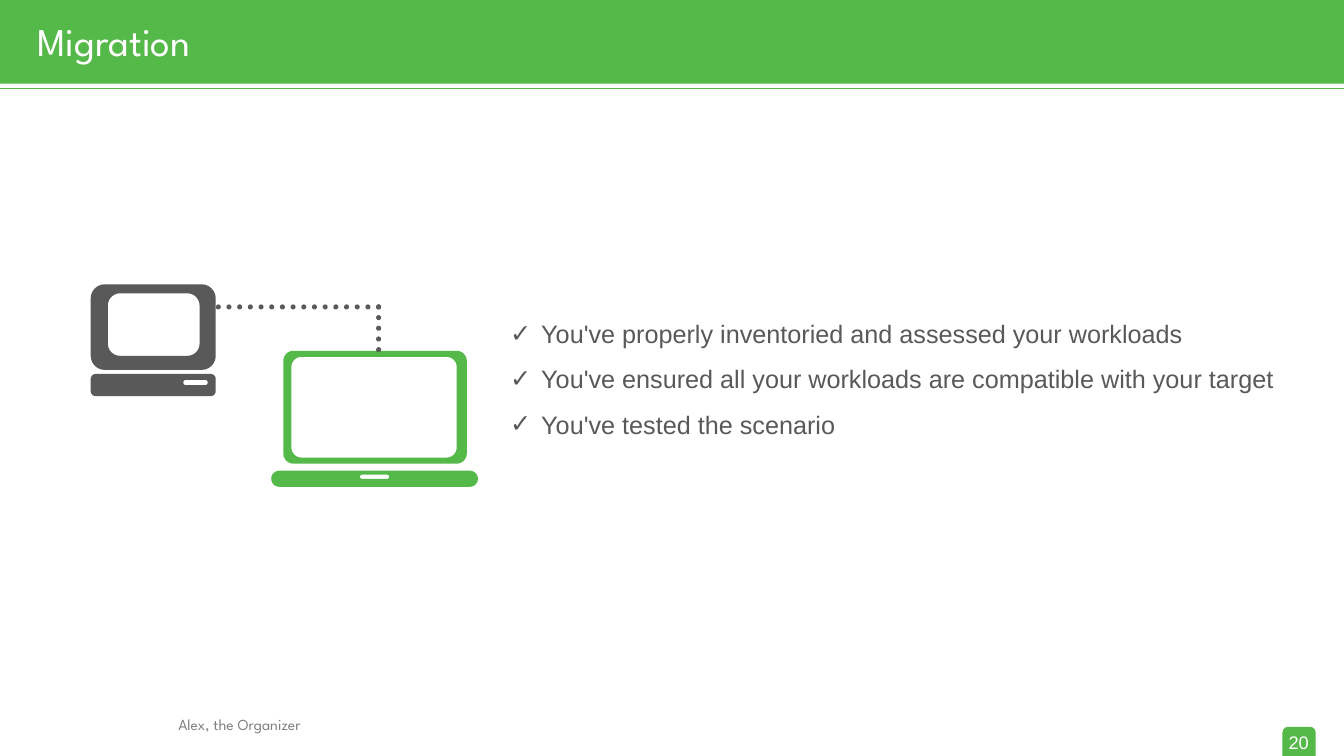
from math import cos, pi, sin

from lxml import etree
from pptx import Presentation
from pptx.dml.color import RGBColor
from pptx.enum.shapes import MSO_CONNECTOR, MSO_SHAPE
from pptx.enum.text import MSO_ANCHOR, PP_ALIGN
from pptx.oxml.ns import qn
from pptx.util import Inches, Pt

RECT, TAB, DOT = MSO_SHAPE.RECTANGLE, MSO_SHAPE.ROUND_2_SAME_RECTANGLE, MSO_SHAPE.OVAL
STRAIGHT = MSO_CONNECTOR.STRAIGHT
LEFT, CENTER = PP_ALIGN.LEFT, PP_ALIGN.CENTER
TOP, MIDDLE = MSO_ANCHOR.TOP, MSO_ANCHOR.MIDDLE

GREEN, GRAY, FOOTER_GRAY, WHITE = "54B948", "595959", "808080", "FFFFFF"
HEAD_FONT, BODY_FONT = "League Spartan", "Arial"
WIDTH, HEIGHT = 13.33, 7.5

CHECKS = [
    "You've properly inventoried and assessed your workloads",
    "You've ensured all your workloads are compatible with your target",
    "You've tested the scenario",
]


def color(hex_text):
    return RGBColor.from_string(hex_text)


def paint(sp, fill):
    sp.fill.solid()
    sp.fill.fore_color.rgb = color(fill)
    sp.line.fill.background()
    sp.shadow.inherit = False
    return sp


def add_filled(shapes, kind, x, y, w, h, fill):
    sp = shapes.add_shape(kind, Inches(x), Inches(y), Inches(w), Inches(h))
    return paint(sp, fill)


def write(sp, lines, size, font, fill, align=LEFT, anchor=TOP, spacing=1.0):
    tf = sp.text_frame
    tf.word_wrap = True
    tf.vertical_anchor = anchor
    for i, line in enumerate(lines):
        p = tf.paragraphs[0] if i == 0 else tf.add_paragraph()
        p.alignment = align
        p.line_spacing = spacing
        r = p.add_run()
        r.text = line
        for name, value in {"size": Pt(size), "name": font, "bold": False}.items():
            setattr(r.font, name, value)
        r.font.color.rgb = color(fill)
    return tf


def add_text(s, x, y, w, h, lines, *style, **layout):
    sp = s.shapes.add_textbox(Inches(x), Inches(y), Inches(w), Inches(h))
    return write(sp, lines, *style, **layout)


def rounded_outline(x, y, w, h, radius, steps=6):
    """Points of a rounded rectangle, clockwise from the top left corner."""
    centers = [
        (x + radius, y + radius), (x + w - radius, y + radius),
        (x + w - radius, y + h - radius), (x + radius, y + h - radius),
    ]
    points = []
    for corner, (cx, cy) in enumerate(centers):
        for step in range(steps + 1):
            angle = pi + (corner + step / steps) * pi / 2
            points.append((Inches(cx + radius * cos(angle)), Inches(cy + radius * sin(angle))))
    return points


def add_frame(shapes, outer, hole, fill):
    """Rounded block with a rounded opening cut through it."""
    block, opening = rounded_outline(*outer), rounded_outline(*hole)
    builder = shapes.build_freeform(*block[0])
    builder.add_line_segments(block[1:], close=True)
    builder.move_to(*opening[0])
    builder.add_line_segments(opening[1:], close=True)
    paint(builder.convert_to_shape(), fill)


def add_header(s, x, y, w, h, text):
    title = s.shapes.title
    banner = add_filled(s.shapes, RECT, x, y, w, h, GREEN)
    title.element.addprevious(banner.element)
    # Rule under the banner
    rule_y = Inches(y + h + 0.05)
    rule = s.shapes.add_connector(STRAIGHT, Inches(x), rule_y, Inches(x + w), rule_y)
    rule.line.color.rgb = color(GREEN)
    rule.line.width = Pt(0.5)
    etree.SubElement(rule.element.spPr, qn("a:effectLst"))
    # Title
    place = {"left": x + 0.27, "top": y + 0.16, "width": 11.5, "height": 0.54}
    for name, value in place.items():
        setattr(title, name, Inches(value))
    write(title, [text], 28, HEAD_FONT, WHITE, anchor=MIDDLE, spacing=0.9)


def add_footer(s, x, y, name, number):
    add_text(s, x, y, 1.86, 0.29, [name], 11, HEAD_FONT, FOOTER_GRAY)
    # Page number tab at the bottom edge
    tab_w, tab_h = 0.33, 0.29
    tab_x, tab_y = WIDTH - 0.28 - tab_w, HEIGHT - tab_h
    tab = add_filled(s.shapes, TAB, tab_x, tab_y, tab_w, tab_h, GREEN)
    tab.adjustments[0] = 0.2
    add_text(s, tab_x - 0.08, tab_y - 0.05, 0.48, 0.4, [number],
             13, BODY_FONT, WHITE, align=CENTER, anchor=MIDDLE)


def add_computers(s, x, y):
    shapes = s.shapes.add_group_shape().shapes
    # Old desktop: screen and case
    add_frame(shapes, (x, y, 1.24, 0.85, 0.14), (x + 0.17, y + 0.09, 0.91, 0.62, 0.12), GRAY)
    add_frame(shapes, (x, y + 0.89, 1.24, 0.22, 0.05), (x + 0.92, y + 0.95, 0.24, 0.05, 0.02), GRAY)
    # New laptop: screen and keyboard
    lx, ly = x + 1.91, y + 0.66
    add_frame(shapes, (lx, ly, 1.82, 1.12, 0.1), (lx + 0.08, ly + 0.06, 1.64, 1, 0.1), GREEN)
    add_frame(shapes, (lx - 0.12, ly + 1.19, 2.05, 0.16, 0.08),
              (lx + 0.76, ly + 1.23, 0.29, 0.04, 0.02), GREEN)
    # Dotted path: across, then down to the laptop
    size, across, down = 0.05, 16, 5
    gap = 1.59 / (across - 1)
    dots = [(i, 0) for i in range(across)] + [(across - 1, j) for j in range(down)]
    for col, row in dots:
        add_filled(shapes, DOT, x + 1.24 + col * gap, y + 0.2 + row * gap, size, size, GRAY)


def add_checklist(s, x, y, w, h, lines):
    tf = add_text(s, x, y, w, h, lines, 18, BODY_FONT, GRAY, spacing=1.5)
    indent = Inches(0.31)
    for p in tf.paragraphs:
        pPr = p._p.get_or_add_pPr()
        pPr.set("marL", str(indent))
        pPr.set("indent", str(-indent))
        etree.SubElement(pPr, qn("a:buFont"), typeface=BODY_FONT)
        etree.SubElement(pPr, qn("a:buChar"), char="✓")


def main():
    prs = Presentation()
    prs.slide_width, prs.slide_height = Inches(WIDTH), Inches(HEIGHT)
    s = prs.slides.add_slide(prs.slide_layouts[5])
    add_header(s, 0, 0, WIDTH, 0.83, "Migration")
    add_footer(s, 1.67, 7.04, "Alex, the Organizer", "20")
    add_computers(s, 0.9, 2.82)
    add_checklist(s, 4.96, 2.96, 7.92, 1.46, CHECKS)
    prs.save("out.pptx")


if __name__ == "__main__":
    main()
